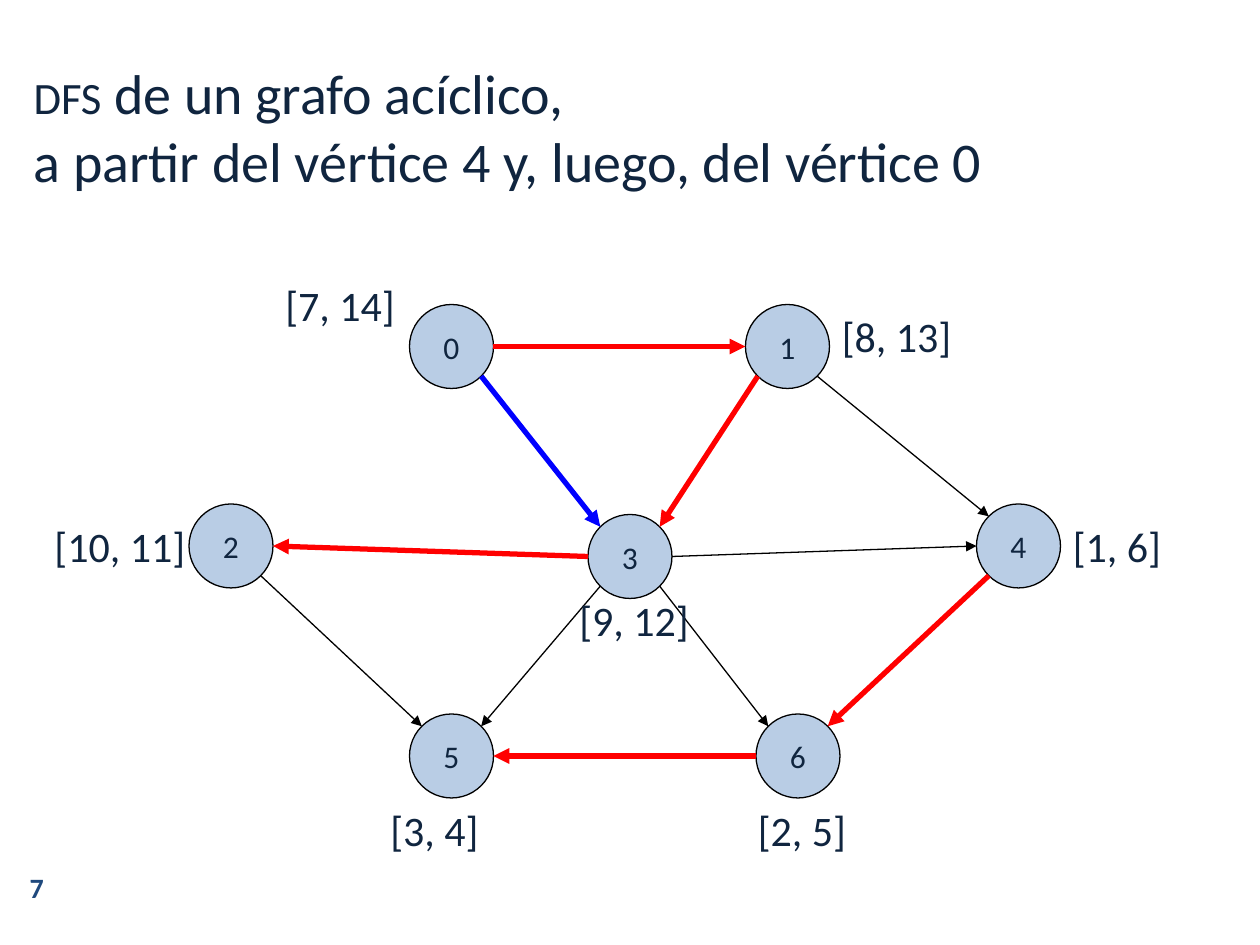
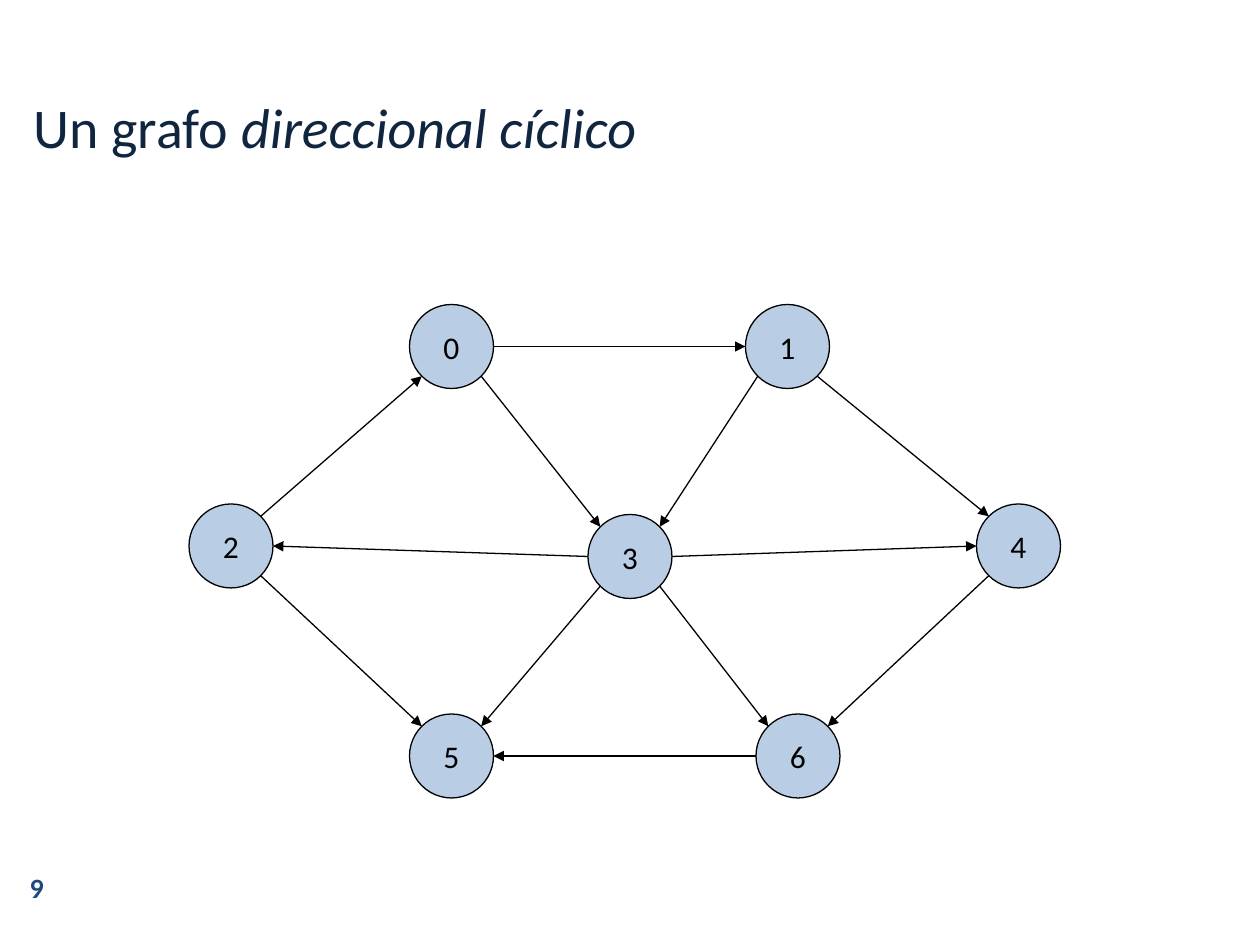
from dataclasses import dataclass
from math import atan2, cos, pi, sin

from lxml.etree import SubElement
from pptx import Presentation
from pptx.dml.color import RGBColor as Color
from pptx.enum.shapes import MSO_CONNECTOR as Connector, MSO_SHAPE as Shape
from pptx.enum.text import MSO_ANCHOR as Anchor, MSO_AUTO_SIZE as AutoSize, PP_ALIGN as Align
from pptx.oxml.ns import qn
from pptx.util import Pt


@dataclass(frozen=True)
class Theme:
    font: str = "Calibri"
    ink: str = "10253F"
    number: str = "1F497D"
    vertex: str = "B9CDE5"
    plain: str = "000000"
    tree_edge: str = "FF0000"
    forward_edge: str = "0000FF"
    title_size: int = 32
    interval_size: int = 24
    vertex_size: int = 18
    number_size: int = 16
    thin: float = 0.75
    thick: float = 3


THEME = Theme()
TITLE_BOX = (12, 24, 696, 96)
NUMBER_BOX = (0, 492, 42, 30)
GRAPH_ORIGIN = (108, 174)
DIAMETER = 48

# Top left corner of each vertex, relative to the graph
VERTICES = {
    0: (126, 0), 3: (228, 120), 4: (450, 114), 2: (0, 114),
    5: (126, 234), 6: (324, 234), 1: (318, 0),
}
ACYCLIC_EDGES = [
    (0, 1), (0, 3), (1, 3), (3, 2), (3, 4), (3, 5),
    (3, 6), (1, 4), (2, 5), (4, 6), (6, 5),
]
CYCLIC_EDGES = ACYCLIC_EDGES + [(2, 0)]
DFS_EDGE_COLORS = {
    **dict.fromkeys([(0, 1), (1, 3), (3, 2), (4, 6), (6, 5)], THEME.tree_edge),
    (0, 3): THEME.forward_edge,
}
# Discovery and finishing times, with the label's offset from its vertex
INTERVALS = {
    4: ("[1, 6]", 48, 6), 6: ("[2, 5]", -6, 48), 5: ("[3, 4]", -18, 48),
    0: ("[7, 14]", -78, -18), 3: ("[9, 12]", -12, 42),
    2: ("[10, 11]", -84, 6), 1: ("[8, 13]", 48, 0),
}


def add_text(para, text, size, color=THEME.ink, bold=None, italic=None, small_caps=False):
    span = para.add_run()
    span.text = text
    font = span.font
    font.name, font.size, font.color.rgb = THEME.font, Pt(size), Color.from_string(color)
    font.bold, font.italic = bold, italic
    if small_caps:
        font._element.set("cap", "small")


def points(*lengths):
    return [Pt(round(length, 2)) for length in lengths]


def add_title(page, lines, box):
    """Fill the title; each line is a list of (text, format) pairs."""
    title = page.shapes.title
    title.left, title.top, title.width, title.height = points(*box)
    frame = title.text_frame
    frame.vertical_anchor = Anchor.MIDDLE
    frame.auto_size = AutoSize.NONE
    for index, line in enumerate(lines):
        para = frame.add_paragraph() if index else frame.paragraphs[0]
        para.alignment = Align.LEFT
        for text, style in line:
            add_text(para, text, THEME.title_size, **style)


def add_page_number(page, number, box):
    frame = page.shapes.add_textbox(*points(*box)).text_frame
    frame.word_wrap = True
    frame.vertical_anchor = Anchor.MIDDLE
    para = frame.paragraphs[0]
    para.alignment = Align.CENTER
    add_text(para, str(number), THEME.number_size, THEME.number, bold=True)


def add_vertex(page, label, left, top, color):
    circle = page.shapes.add_shape(Shape.OVAL, *points(left, top, DIAMETER, DIAMETER))
    circle.shadow.inherit = False
    circle.fill.solid()
    circle.fill.fore_color.rgb = Color.from_string(THEME.vertex)
    circle.line.color.rgb = Color.from_string(THEME.plain)
    circle.line.width = Pt(THEME.thin)
    frame = circle.text_frame
    frame.word_wrap = False
    frame.vertical_anchor = Anchor.MIDDLE
    para = frame.paragraphs[0]
    para.alignment = Align.CENTER
    add_text(para, str(label), THEME.vertex_size, color)


def add_edge(page, start, end, color, width):
    """Join two vertex corners, leaving each circle at the nearest multiple of 45 degrees."""
    radius = DIAMETER / 2
    (x1, y1), (x2, y2) = [(left + radius, top + radius) for left, top in (start, end)]
    angle = round(atan2(y2 - y1, x2 - x1) / (pi / 4)) * pi / 4
    dx, dy = radius * cos(angle), radius * sin(angle)
    edge = page.shapes.add_connector(
        Connector.STRAIGHT, *points(x1 + dx, y1 + dy, x2 - dx, y2 - dy))
    edge.line.color.rgb = Color.from_string(color)
    edge.line.width = Pt(width)
    SubElement(edge.line._get_or_add_ln(), qn("a:tailEnd"), type="triangle")
    SubElement(edge._element.spPr, qn("a:effectLst"))


def add_interval(page, text, left, top):
    width = 12 * len(text) - 6
    frame = page.shapes.add_textbox(*points(left, top, width, 36)).text_frame
    frame.word_wrap = False
    frame.auto_size = AutoSize.SHAPE_TO_FIT_TEXT
    add_text(frame.paragraphs[0], text, THEME.interval_size)


def add_graph(page, origin, edges, label_color, edge_colors, intervals):
    """Draw vertices and edges; edges named in edge_colors are thick."""
    corners = {name: (origin[0] + x, origin[1] + y) for name, (x, y) in VERTICES.items()}
    for name, (left, top) in corners.items():
        add_vertex(page, name, left, top, label_color)
    for edge in edges:
        start, end = (corners[name] for name in edge)
        width = THEME.thick if edge in edge_colors else THEME.thin
        add_edge(page, start, end, edge_colors.get(edge, THEME.plain), width)
    for name, (text, dx, dy) in intervals.items():
        left, top = corners[name]
        add_interval(page, text, left + dx, top + dy)


def add_graph_page(deck, number, title, edges, label_color, edge_colors=None, intervals=None):
    page = deck.slides.add_slide(deck.slide_layouts.get_by_name("Title Only"))
    add_title(page, title, TITLE_BOX)
    add_page_number(page, number, NUMBER_BOX)
    add_graph(page, GRAPH_ORIGIN, edges, label_color, edge_colors or {}, intervals or {})


def main():
    deck = Presentation()
    deck.slide_width, deck.slide_height = Pt(720), Pt(540)
    add_graph_page(
        deck, 7,
        [[("dfs", {"small_caps": True}), (" de un grafo acíclico,", {})],
         [("a partir del vértice 4 y, luego, del vértice 0", {})]],
        ACYCLIC_EDGES, THEME.ink, DFS_EDGE_COLORS, INTERVALS)
    add_graph_page(
        deck, 9,
        [[("Un grafo ", {}), ("direccional cíclico", {"italic": True})]],
        CYCLIC_EDGES, THEME.plain)
    deck.save("out.pptx")


if __name__ == "__main__":
    main()
